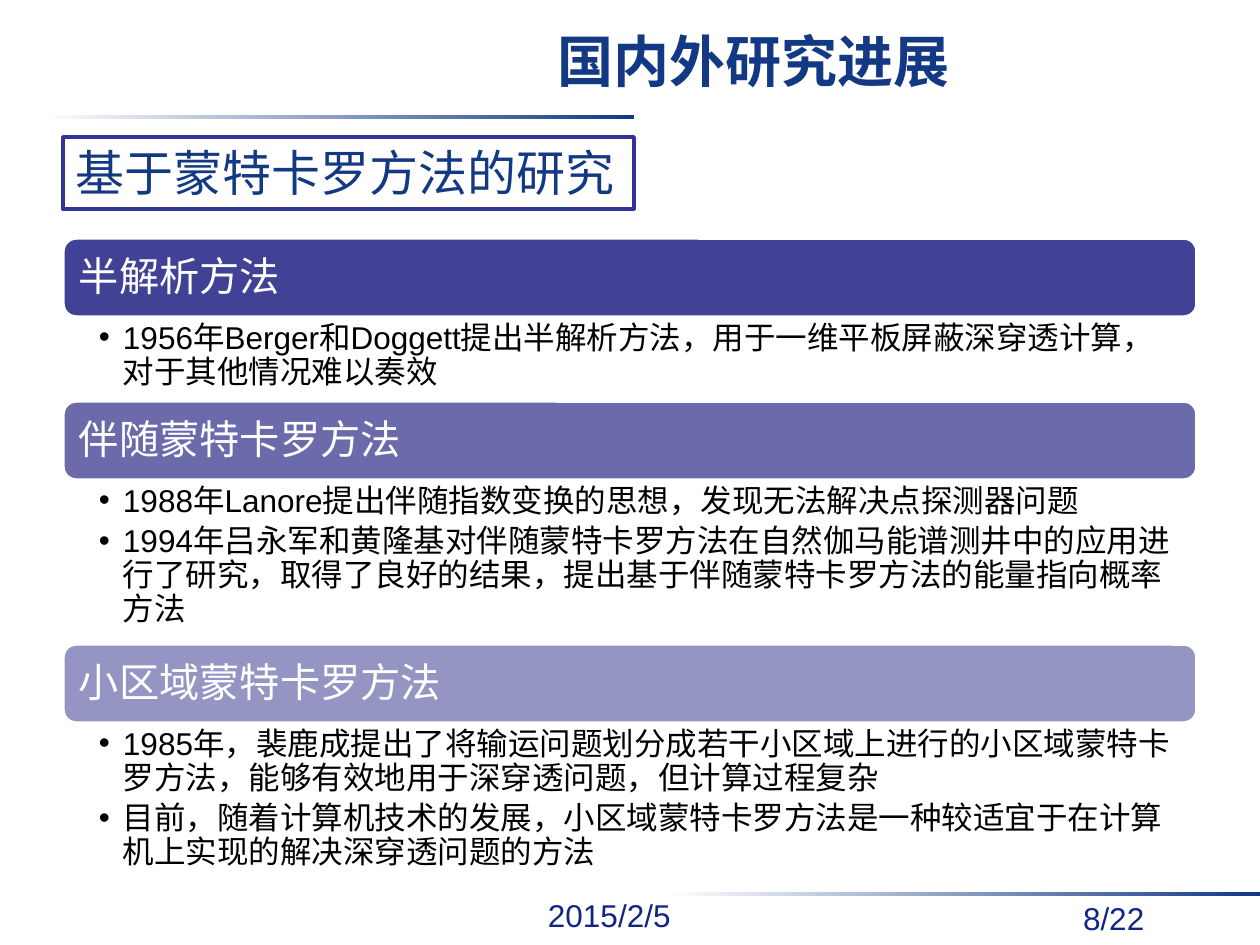
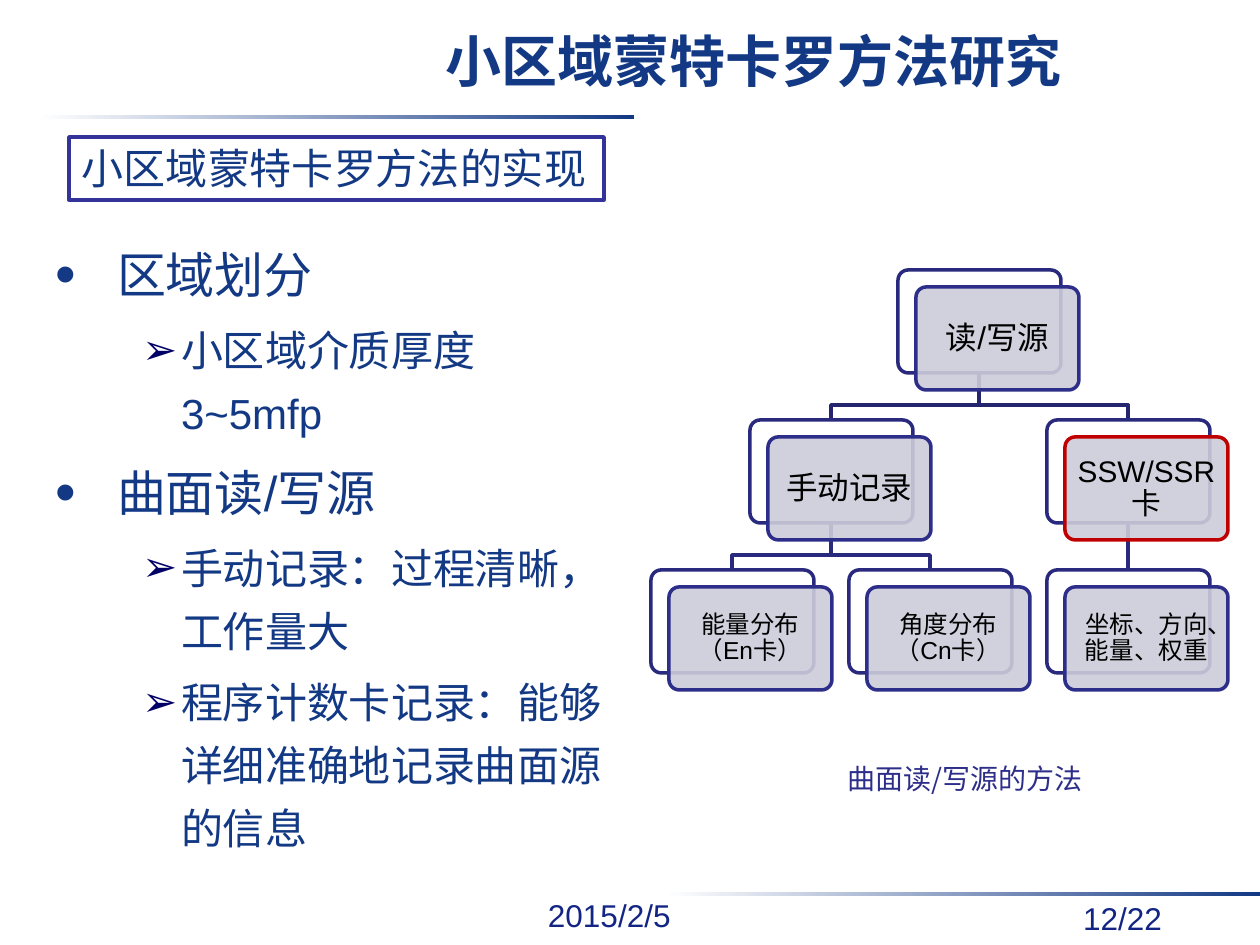
from dataclasses import dataclass

from lxml import etree
from pptx import Presentation
from pptx import util as u
from pptx.dml import color
from pptx.enum import shapes, text
from pptx.oxml import ns

PX = 914400 / 126  # EMU in one px


@dataclass(frozen=True)
class Theme:
    # colours
    white: str = "FFFFFF"
    black: str = "000000"
    navy: str = "133984"
    footer: str = "132584"
    frame: str = "333399"
    indigo: str = "2D2D8A"
    root_link: str = "24246F"
    card_line: str = "29297D"
    card_fill: str = "CDCDDA"
    highlight: str = "C00000"
    arrow: str = "000066"
    # fonts and type sizes
    latin: str = "Arial"
    cjk: str = "Noto Sans CJK SC"
    title_size: int = 32
    heading_size: int = 28
    band_size: int = 23
    subheading_size: int = 24
    body_size: int = 18
    leaf_size: int = 14
    caption_size: int = 16
    line_width: int = 2
    leading: float = 1.2


T = Theme()


def px(length):
    return u.Emu(round(length * PX))


def rgb(value):
    return color.RGBColor.from_string(value)


def child(parent, tag, **attributes):
    return etree.SubElement(parent, ns.qn(tag), attributes)


# ---- paint and text ----
def paint(shape, fill=None, line=None, alpha=100):
    shape.shadow.inherit = False
    if fill:
        shape.fill.solid()
        shape.fill.fore_color.rgb = rgb(fill)
        if alpha < 100:
            tone = next(shape.fill._xPr.iter(ns.qn("a:srgbClr")))
            child(tone, "a:alpha", val=str(alpha * 1000))
    else:
        shape.fill.background()
    if line:
        shape.line.color.rgb = rgb(line)
        shape.line.width = u.Pt(T.line_width)
    else:
        shape.line.fill.background()


def set_frame(shape, insets=(13, 6, 13, 6), anchor=text.MSO_ANCHOR.TOP):
    frame = shape.text_frame
    frame.word_wrap = True
    frame.vertical_anchor = anchor
    (frame.margin_left, frame.margin_top,
     frame.margin_right, frame.margin_bottom) = map(px, insets)
    return frame


def write(paragraph, words, size, ink, align=text.PP_ALIGN.LEFT,
          spacing=1.0, bold=False, latin=T.latin):
    paragraph.alignment = align
    paragraph.line_spacing = u.Pt(round(size * T.leading * spacing, 1))
    run = paragraph.add_run()
    run.text = words
    run.font.size = u.Pt(size)
    run.font.bold = bold
    run.font.name = latin
    run.font.color.rgb = rgb(ink)
    child(run.font._element, "a:ea", typeface=T.cjk)


def set_bullet(paragraph, mark, left, hanging, ink=None, percent=None):
    props = paragraph._p.get_or_add_pPr()
    props.set("marL", str(px(left)))
    props.set("indent", str(-px(hanging)))
    if ink:
        child(child(props, "a:buClr"), "a:srgbClr", val=ink)
    if percent:
        child(props, "a:buSzPct", val=str(percent * 1000))
    child(props, "a:buFont", typeface=T.latin)
    child(props, "a:buChar", char=mark)


def add_paragraphs(frame, count):
    return [frame.paragraphs[0]] + [frame.add_paragraph() for _ in range(count - 1)]


def add_label(slide, box, words, size, ink, **style):
    label = slide.shapes.add_textbox(*map(px, box))
    write(set_frame(label).paragraphs[0], words, size, ink, **style)


# ---- shared slide parts ----
def add_rule(slide, left, top):
    rule = slide.shapes.add_shape(
        shapes.MSO_SHAPE.RECTANGLE, *map(px, (left, top, 595, 4)))
    paint(rule)
    rule.fill.gradient()
    rule.fill.gradient_angle = 0
    for stop, position, tone in zip(rule.fill.gradient_stops, (0, 1), (T.white, T.navy)):
        stop.position = position
        stop.color.rgb = rgb(tone)


def add_page(deck, title, number):
    slide = deck.slides.add_slide(deck.slide_layouts[6])
    add_rule(slide, 39, 115)
    add_rule(slide, 665, 892)
    add_label(slide, (535, 890, 188, 50), "2015/2/5", T.body_size, T.footer)
    add_label(slide, (1070, 893, 120, 50), f"{number}/22", T.body_size, T.footer)
    add_label(slide, (315, 21, 878, 94), title, T.title_size, T.navy,
              align=text.PP_ALIGN.CENTER, bold=True)
    return slide


def add_heading(slide, box, words, size):
    heading = slide.shapes.add_shape(shapes.MSO_SHAPE.RECTANGLE, *map(px, box))
    paint(heading, T.white, T.frame)
    write(set_frame(heading).paragraphs[0], words, size, T.navy)


# ---- method bands ----
def add_method(slide, top, height, alpha, name, findings):
    band = slide.shapes.add_shape(
        shapes.MSO_SHAPE.ROUNDED_RECTANGLE, *map(px, (63, top, 1134, 79)))
    paint(band, T.indigo, T.white, alpha)
    frame = set_frame(band, (12, 12, 12, 12), text.MSO_ANCHOR.MIDDLE)
    write(frame.paragraphs[0], name, T.band_size, T.white, spacing=0.9)

    details = slide.shapes.add_textbox(*map(px, (63, top + 80, 1134, height)))
    frame = set_frame(details, (36, 4, 23, 4))
    for paragraph, finding in zip(add_paragraphs(frame, len(findings)), findings):
        write(paragraph, finding, T.body_size, T.black, spacing=0.9)
        paragraph.space_after = u.Pt(3.6)
        set_bullet(paragraph, "•", 24, 24)


# ---- outline list ----
def add_outline(slide, box, entries):
    frame = set_frame(slide.shapes.add_textbox(*map(px, box)))
    paragraphs = add_paragraphs(frame, len(entries))
    for index, (paragraph, (level, words)) in enumerate(zip(paragraphs, entries)):
        size = T.subheading_size if level else T.heading_size
        write(paragraph, words, size, T.navy, spacing=1.25)
        paragraph.space_before = u.Pt(size * 0.2 if index else 0)
        if level:
            set_bullet(paragraph, "➢", 126, 39, ink=T.arrow)
        else:
            set_bullet(paragraph, "•", 62, 62, percent=120)


# ---- source tree ----
CARD_W, CARD_H = 163, 103
TREE_LEFT, TREE_TOP = 651, 270
HALF_COLUMN, ROW = 99, 150


def card_corner(slot, level):
    return round(TREE_LEFT + slot * HALF_COLUMN), TREE_TOP + level * ROW


def add_link(slide, parent, branch, ink):
    (from_x, from_y), (to_x, to_y) = card_corner(*parent), card_corner(*branch)
    from_x, to_x, from_y = from_x + CARD_W // 2, to_x + CARD_W // 2, from_y + CARD_H
    if from_x == to_x:
        link = slide.shapes.add_connector(
            shapes.MSO_CONNECTOR.STRAIGHT, *map(px, (from_x, from_y, to_x, to_y)))
        child(link._element.spPr, "a:effectLst")
        link.line.color.rgb = rgb(ink)
        link.line.width = u.Pt(T.line_width)
        return
    bend = from_y + 32
    path_builder = slide.shapes.build_freeform(from_x, from_y, scale=PX)
    path_builder.add_line_segments(
        [(from_x, bend), (to_x, bend), (to_x, to_y)], close=False)
    paint(path_builder.convert_to_shape(), line=ink)


def add_card(slide, place, words, size, edge=T.indigo):
    left, top = card_corner(*place)
    layers = ((0, 0, T.white, T.card_line, 100), (18, 17, T.card_fill, edge, 90))
    for dx, dy, fill, line, alpha in layers:
        card = slide.shapes.add_shape(
            shapes.MSO_SHAPE.ROUNDED_RECTANGLE,
            *map(px, (left + dx, top + dy, CARD_W, CARD_H)))
        card.adjustments[0] = 0.1
        paint(card, fill, line, alpha)
    frame = set_frame(card, (8, 8, 8, 8), text.MSO_ANCHOR.MIDDLE)
    write(frame.paragraphs[0], words, size, T.black,
          align=text.PP_ALIGN.CENTER, spacing=0.9)


def add_progress_slide(deck):
    slide = add_page(deck, "国内外研究进展", 8)
    add_heading(slide, (63, 137, 571, 72), "基于蒙特卡罗方法的研究", T.heading_size)
    methods = [
        (238, 82, 90, "半解析方法", [
            "1956年Berger和Doggett提出半解析方法，用于一维平板屏蔽深穿透计算，对于其他情况难以奏效"]),
        (401, 164, 70, "伴随蒙特卡罗方法", [
            "1988年Lanore提出伴随指数变换的思想，发现无法解决点探测器问题",
            "1994年吕永军和黄隆基对伴随蒙特卡罗方法在自然伽马能谱测井中的应用"
            "进行了研究，取得了良好的结果，提出基于伴随蒙特卡罗方法的能量指向概率方法"]),
        (644, 164, 50, "小区域蒙特卡罗方法", [
            "1985年，裴鹿成提出了将输运问题划分成若干小区域上进行的小区域蒙特"
            "卡罗方法，能够有效地用于深穿透问题，但计算过程复杂",
            "目前，随着计算机技术的发展，小区域蒙特卡罗方法是一种较适宜于在计算"
            "机上实现的解决深穿透问题的方法"]),
    ]
    for method in methods:
        add_method(slide, *method)


def add_region_slide(deck):
    slide = add_page(deck, "小区域蒙特卡罗方法研究", 12)

    # places in the tree: (half columns from the left, level)
    root, manual, card_record = (2.5, 0), (1, 1), (4, 1)
    energy, angle, state = (0, 2), (2, 2), (4, 2)
    for parent, branch in ((card_record, state), (root, card_record),
                           (manual, angle), (manual, energy), (root, manual)):
        add_link(slide, parent, branch, T.root_link if parent == root else T.card_line)
    add_card(slide, root, "读/写源", T.body_size)
    add_card(slide, manual, "手动记录", T.body_size)
    add_card(slide, energy, "能量分布（En卡）", T.leaf_size)
    add_card(slide, angle, "角度分布（Cn卡）", T.leaf_size)
    add_card(slide, card_record, "SSW/SSR卡", T.body_size - 1, T.highlight)
    add_card(slide, state, "坐标、方向、能量、权重", T.leaf_size)

    add_heading(slide, (69, 137, 535, 63), "小区域蒙特卡罗方法的实现", T.subheading_size)
    add_outline(slide, (42, 224, 584, 658), [
        (0, "区域划分"),
        (1, "小区域介质厚度3~5mfp"),
        (0, "曲面读/写源"),
        (1, "手动记录：过程清晰，工作量大"),
        (1, "程序计数卡记录：能够详细准确地记录曲面源的信息"),
    ])
    add_label(slide, (832, 756, 266, 80), "曲面读/写源的方法", T.caption_size, T.indigo,
              align=text.PP_ALIGN.CENTER, latin=T.cjk)


def main():
    deck = Presentation()
    deck.slide_width, deck.slide_height = px(1260), px(945)
    add_progress_slide(deck)
    add_region_slide(deck)
    deck.save("out.pptx")


if __name__ == "__main__":
    main()
